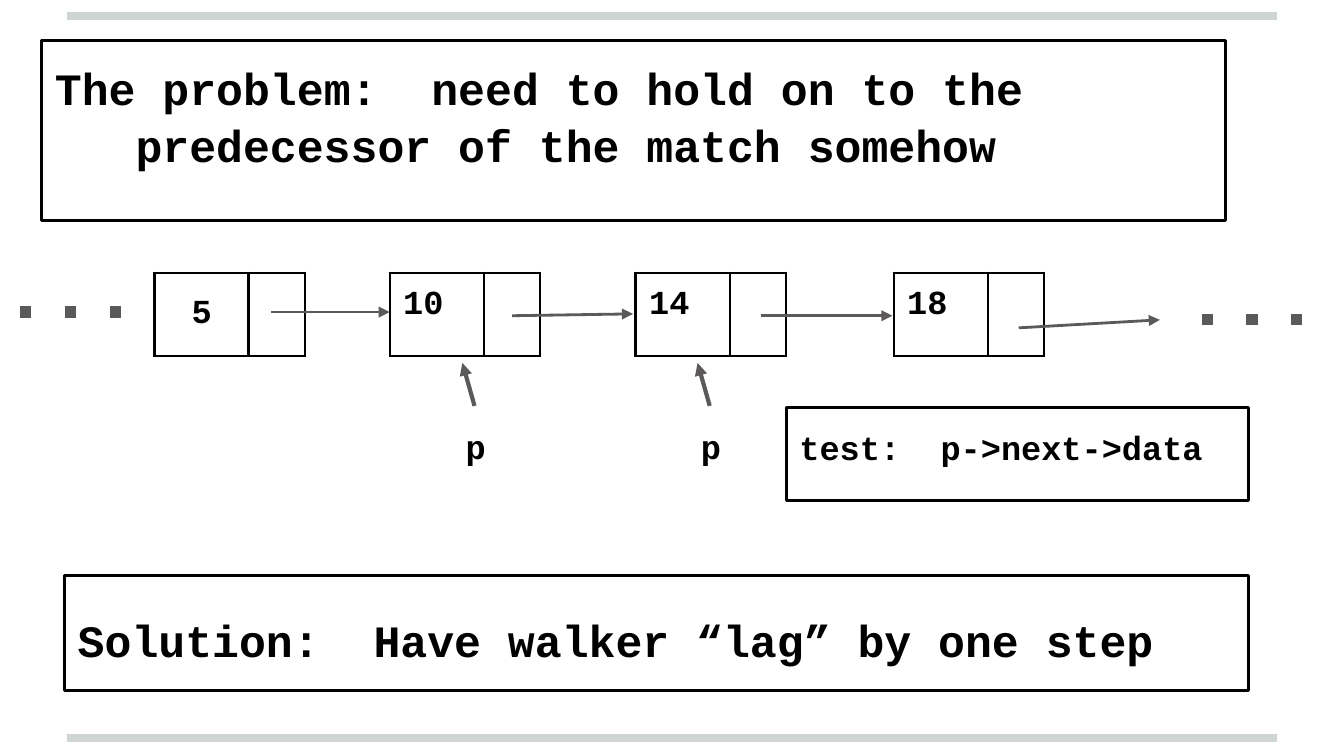
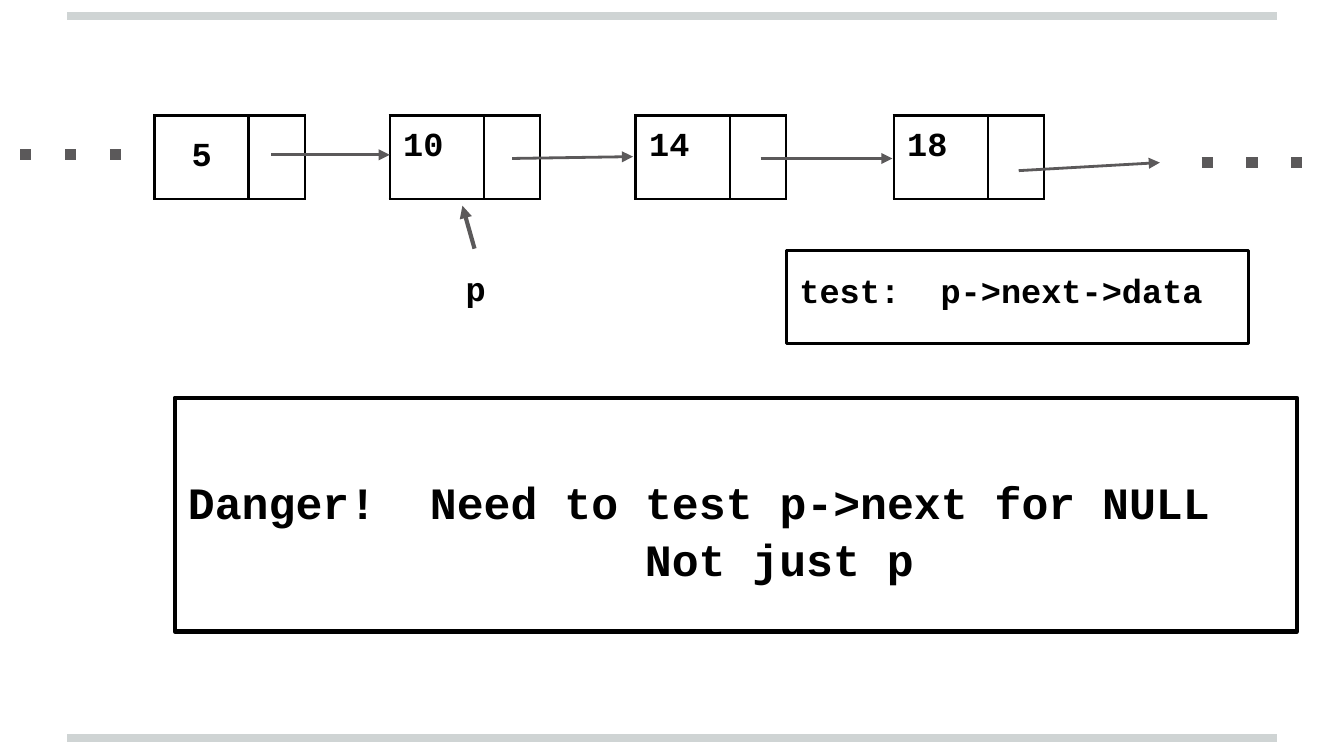
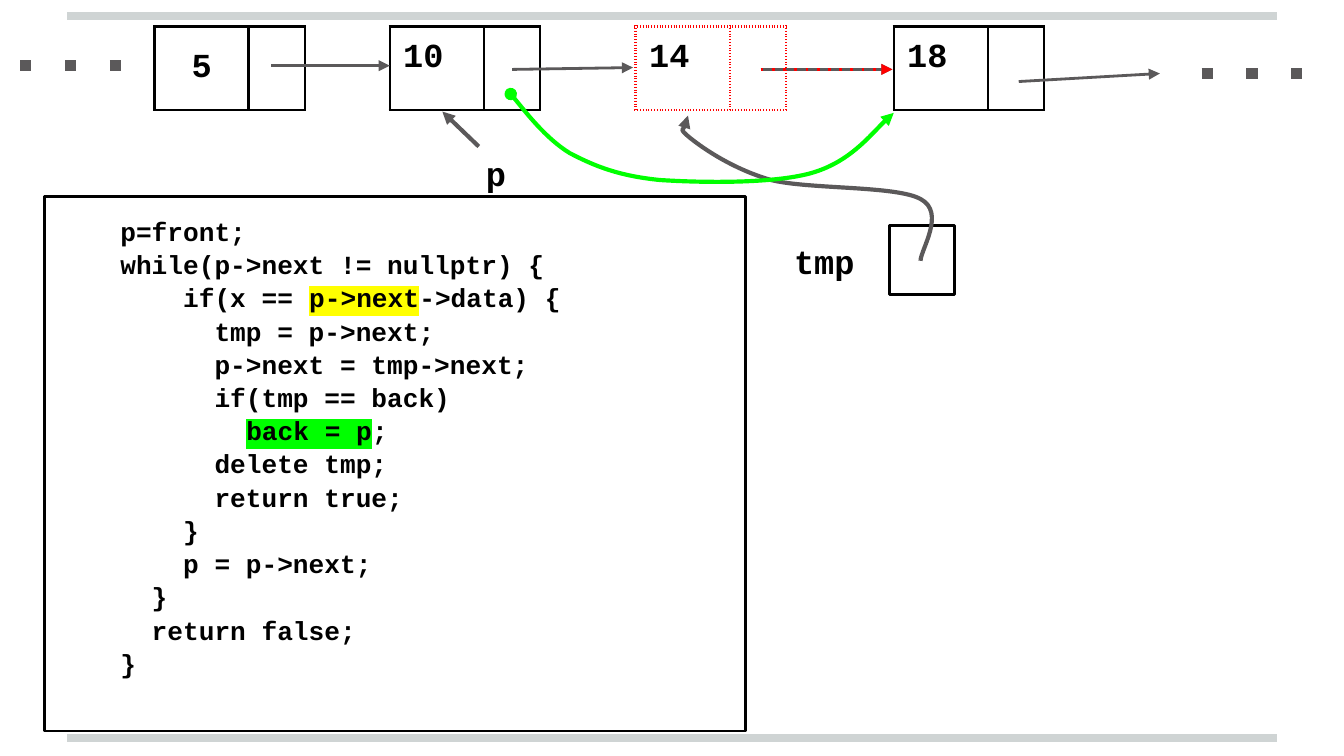
from copy import deepcopy

from lxml.etree import SubElement
from pptx import Presentation
from pptx.dml.color import RGBColor
from pptx.enum.shapes import MSO_CONNECTOR as Link, MSO_SHAPE as Preset
from pptx.enum.text import MSO_ANCHOR as Anchor, PP_ALIGN as Align
from pptx.oxml.ns import qn
from pptx.util import Pt

COLORS = {
    "band": "CFD4D4",
    "ink": "000000",
    "arrow": "5B595A",
    "removed": "FF0000",
    "new_link": "00FF00",
    "yellow": "FFFF00",
}
FONT = "Courier New"
INSET = 7.2
NODE_LEFTS = {"5": 82.8, "10": 208.8, "14": 340.56, "18": 478.8}
NODE_COLUMNS = (50.4, 30.24)
NODE_HEIGHT = 44.64
# Left end, right end, and both heights below the top of the nodes
NODE_LINKS = [
    (145.44, 208.8, 21, 21),
    (274.32, 339.12, 23, 22),
    (407.52, 478.08, 23, 23),
    (545.76, 621.36, 29.5, 25.2),
]
ELLIPSES = [(643.68, 699.84, 25.2), (10.8, 67.68, 21)]
POINTER_DROP = 71.3
TEST = "test:  p->next->data"
CODE = [
    "    p=front;",
    "    while(p->next != nullptr) {",
    "        if(x == p->next->data) {",
    "          tmp = p->next;",
    "          p->next = tmp->next;",
    "          if(tmp == back)",
    "            back = p;",
    "          delete tmp;",
    "          return true;",
    "        }",
    "        p = p->next;",
    "      }",
    "      return false;",
    "    }",
]


def rgb(color):
    return RGBColor.from_string(COLORS[color])


def style_line(shape, color, width, dash=None, head=None, tail=None):
    shape.line.color.rgb = rgb(color)
    shape.line.width = Pt(width)
    ln = shape.get_or_add_ln()
    for tag, key, value in (("prstDash", "val", dash), ("headEnd", "type", head),
                            ("tailEnd", "type", tail)):
        if value:
            SubElement(ln, qn(f"a:{tag}")).set(key, value)


def add_line(page, start, end, color="arrow", width=1.5, dash=None, tail=None):
    ends = [Pt(value) for value in (*start, *end)]
    line = page.shapes.add_connector(Link.STRAIGHT, *ends)
    style_line(line, color, width, dash, tail=tail)
    SubElement(line.element.spPr, qn("a:effectLst"))
    return line


def add_arrow(page, start, end, **style):
    return add_line(page, start, end, tail="triangle", **style)


def add_curve(page, points, color="arrow", head=None):
    """Draw a Bézier curve: a start, then two controls and an end per segment."""
    start, *rest = [(Pt(x), Pt(y)) for x, y in points]
    builder = page.shapes.build_freeform(*start)
    builder.add_line_segments(rest, close=False)
    curve = builder.convert_to_shape()
    corners = list(curve.element.iter(qn("a:lnTo")))
    outline = corners[0].getparent()
    for index in range(0, len(corners), 3):
        segment = SubElement(outline, qn("a:cubicBezTo"))
        for corner in corners[index:index + 3]:
            segment.append(corner[0])
            outline.remove(corner)
    curve.fill.background()
    curve.shadow.inherit = False
    style_line(curve, color, 2.25, head=head, tail="triangle")


def put_text(frame, lines, size, align=Align.LEFT, anchor=Anchor.TOP,
             margin_top=INSET + 2, spacing=1.06):
    frame.word_wrap = True
    frame.vertical_anchor = anchor
    frame.margin_left = frame.margin_right = frame.margin_bottom = Pt(INSET)
    frame.margin_top = Pt(margin_top)
    frame.text = "\n".join(lines)
    for para in frame.paragraphs:
        para.alignment = align
        para.line_spacing = spacing
        for span in para.runs:
            span.font.size = Pt(size)
            span.font.bold = True
            span.font.color.rgb = rgb("ink")
            span.font.name = FONT


def add_frame(page, left, top, width, height, lines=(), size=18, border=1.5, **text):
    box = page.shapes.add_shape(Preset.RECTANGLE, Pt(left), Pt(top), Pt(width), Pt(height))
    box.fill.background()
    box.shadow.inherit = False
    style_line(box, "ink", border)
    if lines:
        put_text(box.text_frame, lines, size, **text)
    return box


def add_label(page, left, top, width, text, align=Align.CENTER):
    box = page.shapes.add_textbox(Pt(left), Pt(top), Pt(width), Pt(36.72))
    put_text(box.text_frame, [text], 18, align)


def indent(para, points):
    para._p.get_or_add_pPr().set("marL", str(Pt(points)))


def highlight(para, phrase, color):
    """Split the paragraph's single run around a phrase and mark the phrase."""
    first = para.runs[0]
    before, _, after = first.text.partition(phrase)
    for _ in range(2):
        first._r.addnext(deepcopy(first._r))
    for span, text in zip(para.runs, (before, phrase, after)):
        span.text = text
    fill = para.runs[1]._r.rPr.find(qn("a:solidFill"))
    mark = fill.makeelement(qn("a:highlight"))
    SubElement(mark, qn("a:srgbClr")).set("val", COLORS[color])
    fill.addnext(mark)


def set_borders(cell, color, dash):
    tc_pr = cell._tc.get_or_add_tcPr()
    for index, side in enumerate("LRTB"):
        edge = tc_pr.makeelement(qn(f"a:ln{side}"), {"w": str(Pt(1.5))})
        fill = SubElement(edge, qn("a:solidFill"))
        SubElement(fill, qn("a:srgbClr")).set("val", COLORS[color])
        SubElement(edge, qn("a:prstDash")).set("val", dash)
        tc_pr.insert(index, edge)


def add_node(page, value, top, color="ink", dash="solid"):
    graphic = page.shapes.add_table(1, 2, Pt(NODE_LEFTS[value]), Pt(top),
                                    Pt(sum(NODE_COLUMNS)), Pt(NODE_HEIGHT))
    table = graphic.table
    table.first_row = table.horz_banding = False
    table.rows[0].height = Pt(NODE_HEIGHT)
    for column, width in zip(table.columns, NODE_COLUMNS):
        column.width = Pt(width)
    for cell in table.iter_cells():
        cell.fill.background()
        set_borders(cell, color, dash)
    cell = table.cell(0, 0)
    centred = value == "5"
    put_text(cell.text_frame, [value], 18, Align.CENTER if centred else Align.LEFT,
             margin_top=INSET, spacing=1.0)
    cell.margin_left = cell.margin_right = cell.margin_top = cell.margin_bottom = Pt(INSET)
    cell.vertical_anchor = Anchor.MIDDLE if centred else Anchor.TOP


def add_list(page, top, removed=None):
    """Draw the linked list; a removed node is dotted, as is its outgoing link."""
    for value in NODE_LEFTS:
        if value != removed:
            add_node(page, value, top)
    for left, right, start, end in NODE_LINKS:
        add_arrow(page, (left, top + start), (right, top + end))
    for left, right, drop in ELLIPSES:
        add_line(page, (left, top + drop), (right, top + drop), width=6, dash="dot")
    if removed:
        add_node(page, removed, top, "removed", "dot")
        left, right, start, end = NODE_LINKS[list(NODE_LEFTS).index(removed)]
        add_arrow(page, (left, top + start), (right, top + end), color="removed", dash="dot")


def add_pointer(page, left, list_top):
    top = list_top + POINTER_DROP
    add_arrow(page, (left + 19.5, top), (left + 13, top - 23), width=2.25)
    add_label(page, left, top, 40.32, "p")


def add_test(page, list_top):
    add_frame(page, 421.2, list_top + 72.3, 247.68, 49.68, [TEST])


def add_bands(page, layout):
    for y in (395.28, 8.64):
        band = add_line(page, (36, y), (684, y), "band", 4)
        layout.shapes.element.append(band.element)


def build_problem(page):
    top = 146.16
    add_list(page, top)
    problem = add_frame(page, 22.32, 21.6, 634.32, 96.48,
                        ["The problem:  need to hold on to the",
                         "predecessor of the match somehow"], 24)
    indent(problem.text_frame.paragraphs[1], 43.2)
    for left in (234.72, 360.72):
        add_pointer(page, left, top)
    add_frame(page, 34.56, 308.16, 634.32, 61.92,
              ["Solution:  Have walker “lag” by one step"], 24,
              anchor=Anchor.MIDDLE, margin_top=13)
    add_test(page, top)


def build_danger(page):
    top = 61.92
    add_list(page, top)
    add_pointer(page, 234.72, top)
    add_test(page, top)
    danger = add_frame(page, 93.6, 213.12, 601.2, 125.28,
                       ["Danger!  Need to test p->next for NULL", "Not just p"],
                       24, border=2.25, margin_top=39.5)
    indent(danger.text_frame.paragraphs[1], 244.8)


def build_removal(page):
    code = add_frame(page, 23.76, 105.12, 375.84, 286.56, CODE, 14)
    lines = code.text_frame.paragraphs
    highlight(lines[2], "p->next", "yellow")
    highlight(lines[6], "back = p", "new_link")
    add_list(page, 14.2, removed="14")
    add_label(page, 245.52, 71.28, 40.32, "p")
    add_arrow(page, (256.5, 78.5), (237, 59.8), width=2.25)
    add_label(page, 418.32, 118.8, 56.88, "tmp", Align.LEFT)
    add_frame(page, 476.64, 120.96, 34.56, 36.72)
    add_curve(page, [(493.2, 139.7), (493.2, 133.9), (506.9, 113.8), (493.2, 106.6),
                     (480.2, 99.4), (434.2, 101.5), (413.3, 96.5),
                     (393.1, 90.7), (377.3, 79.9), (370.1, 74.2),
                     (362.9, 68.4), (369.4, 64.1), (368.6, 61.9)])
    add_curve(page, [(273.6, 50.4), (278.6, 56.2), (292.3, 74.2), (305.3, 82.1),
                     (319, 89.3), (331.9, 94.3), (353.5, 96.5),
                     (375.1, 97.9), (413.3, 98.6), (434.2, 92.9),
                     (455, 87.1), (471.6, 66.2), (478.8, 60.5)], "new_link", "oval")


def main():
    deck = Presentation()
    deck.slide_width, deck.slide_height = Pt(720), Pt(405)
    layout = deck.slide_layouts.get_by_name("Blank")
    for number, build in enumerate((build_problem, build_danger, build_removal)):
        page = deck.slides.add_slide(layout)
        if number == 0:
            add_bands(page, layout)
        build(page)
    deck.save("out.pptx")


if __name__ == "__main__":
    main()
